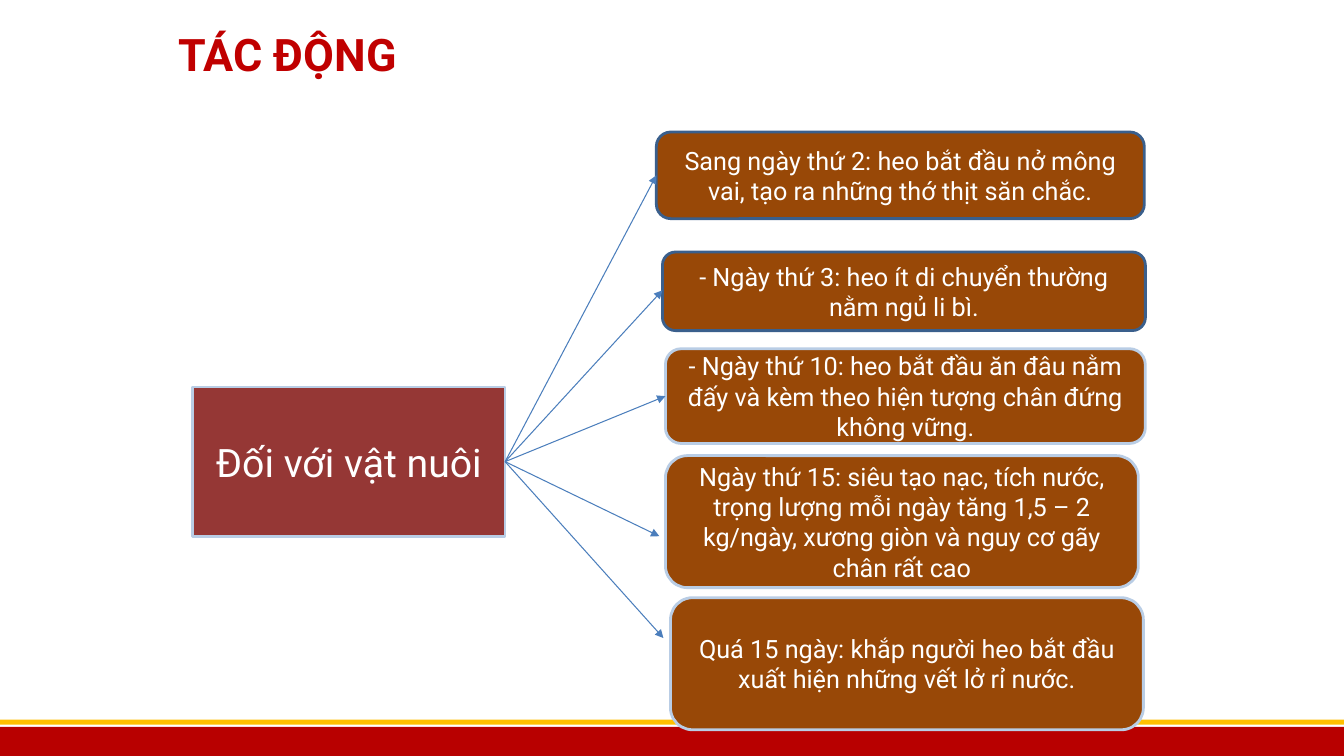
from lxml import etree
from pptx import Presentation
from pptx.dml.color import RGBColor
from pptx.enum.shapes import MSO_CONNECTOR, MSO_SHAPE
from pptx.enum.text import MSO_ANCHOR, PP_ALIGN
from pptx.oxml.ns import qn
from pptx.util import Inches, Pt

RECT = MSO_SHAPE.RECTANGLE
ROUNDED = MSO_SHAPE.ROUNDED_RECTANGLE
STRAIGHT = MSO_CONNECTOR.STRAIGHT
LEFT, CENTER = PP_ALIGN.LEFT, PP_ALIGN.CENTER
MIDDLE, BOTTOM = MSO_ANCHOR.MIDDLE, MSO_ANCHOR.BOTTOM

COLORS = {
    "band": "B80000",
    "stripe": "FFC000",
    "title": "C00000",
    "subject": "953735",
    "effect": "984807",
    "dark_edge": "3A5F8C",
    "light_edge": "B9CDE5",
    "arrow": "4B7EBC",
    "text": "FFFFFF",
}
FONT = "Roboto"


def rgb(name):
    return RGBColor.from_string(COLORS[name])


def write(sp, text, size=18, color="text", bold=False, align=CENTER, anchor=MIDDLE):
    tf = sp.text_frame
    tf.word_wrap = True
    tf.vertical_anchor = anchor
    p = tf.paragraphs[0]
    p.alignment = align
    r = p.add_run()
    r.text = text
    r.font.name = FONT
    r.font.size = Pt(size)
    r.font.bold = bold
    r.font.color.rgb = rgb(color)


class Deck:
    def __init__(self):
        self.prs = Presentation()
        self.prs.slide_width = Inches(13.33)
        self.prs.slide_height = Inches(7.5)
        self.s = self.prs.slides.add_slide(self.prs.slide_layouts[6])

    def box(self, at, fill, edge=None, kind=RECT):
        sp = self.s.shapes.add_shape(kind, *map(Inches, at))
        sp.shadow.inherit = False
        sp.fill.solid()
        sp.fill.fore_color.rgb = rgb(fill)
        if edge:
            sp.line.color.rgb = rgb(edge)
            sp.line.width = Pt(2)
        else:
            sp.line.fill.background()
        return sp

    def label(self, at, text, **style):
        sp = self.s.shapes.add_textbox(*map(Inches, at))
        write(sp, text, **style)

    def arrow(self, start, end):
        c = self.s.shapes.add_connector(STRAIGHT, *map(Inches, start + end))
        c.line.color.rgb = rgb("arrow")
        c.line.width = Pt(0.75)
        etree.SubElement(c.line._get_or_add_ln(), qn("a:tailEnd"), type="triangle")
        etree.SubElement(c._element.spPr, qn("a:effectLst"))


EFFECTS = [
    ((6.51, 1.31, 4.84, 0.86), "dark_edge", (6.51, 1.74),
     "Sang ngày thứ 2: heo bắt đầu nở mông vai, tạo ra những thớ thịt săn chắc."),
    ((6.57, 2.5, 4.79, 0.78), "dark_edge", (6.57, 2.88),
     "- Ngày thứ 3: heo ít di chuyển thường nằm ngủ li bì."),
    ((6.6, 3.46, 4.76, 0.94), "light_edge", (6.6, 3.93),
     "- Ngày thứ 10: heo bắt đầu ăn đâu nằm đấy và kèm theo hiện tượng chân "
     "đứng không vững."),
    ((6.6, 4.52, 4.69, 1.31), "light_edge", (6.54, 5.32),
     "Ngày thứ 15: siêu tạo nạc, tích nước, trọng lượng mỗi ngày tăng 1,5 – 2 "
     "kg/ngày, xương giòn và nguy cơ gãy chân rất cao"),
    ((6.65, 5.93, 4.69, 1.31), "light_edge", (6.58, 6.33),
     "Quá 15 ngày: khắp người heo bắt đầu xuất hiện những vết lở rỉ nước."),
]
HUB = (5.01, 4.58)


def main():
    deck = Deck()
    deck.box((0, 7.21, 13.33, 0.29), "band")
    deck.box((0, 7.14, 13.33, 0.05), "stripe")
    deck.label((1.67, 0.05, 4.38, 0.8), "TÁC ĐỘNG", size=32, color="title",
               bold=True, align=LEFT, anchor=BOTTOM)
    subject = deck.box((1.91, 3.84, 3.1, 1.48), "subject", "light_edge")
    write(subject, "Đối với vật nuôi", size=28)
    for at, edge, tip, text in EFFECTS:
        write(deck.box(at, "effect", edge, ROUNDED), text)
        deck.arrow(HUB, tip)
    deck.prs.save("out.pptx")


if __name__ == "__main__":
    main()
